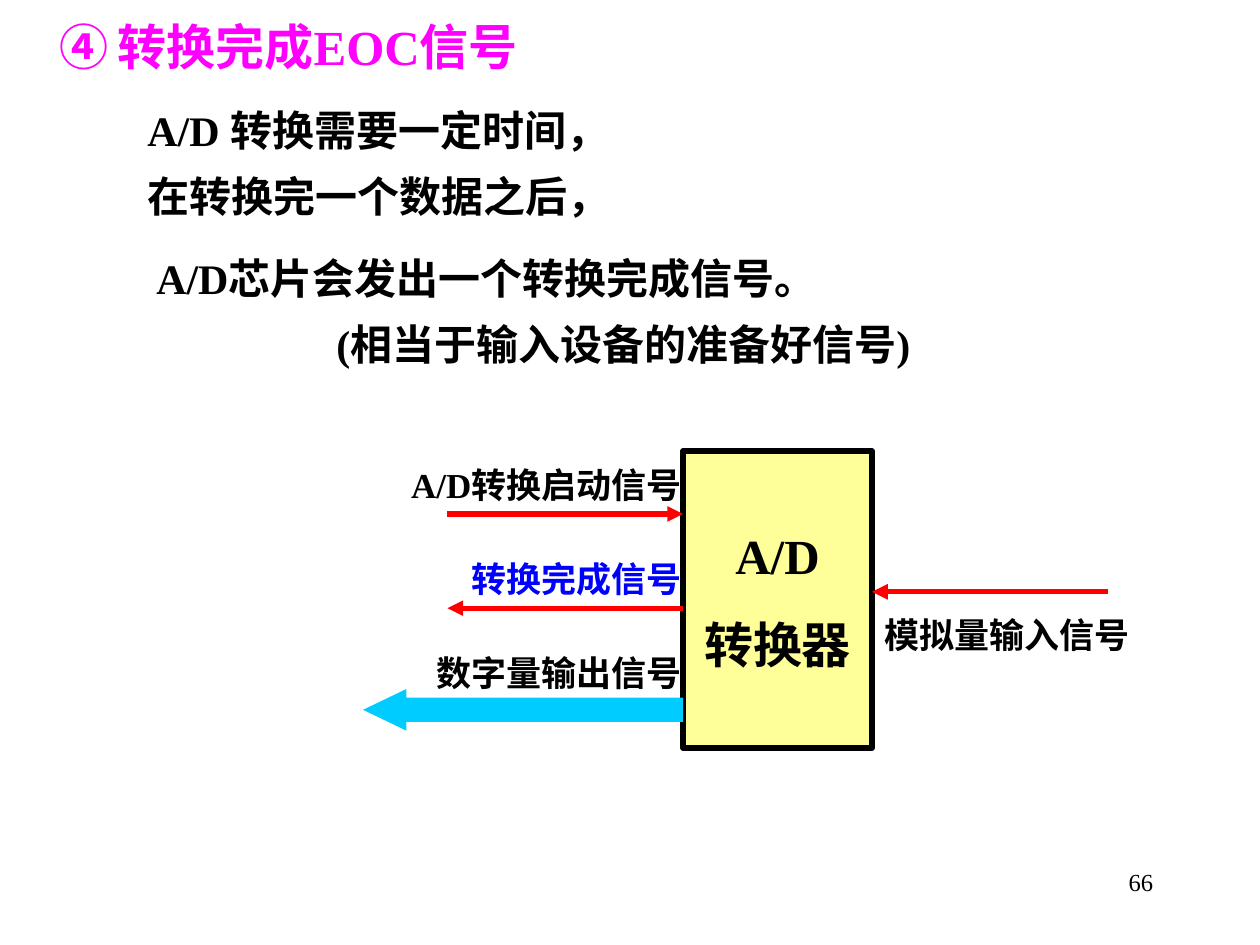
from pptx import Presentation
from pptx.dml.color import RGBColor
from pptx.enum.shapes import MSO_CONNECTOR, MSO_SHAPE
from pptx.enum.text import MSO_ANCHOR, MSO_AUTO_SIZE, PP_ALIGN
from pptx.oxml.ns import qn
from pptx.util import Cm, Pt
from lxml.etree import SubElement

COLORS = {
    "title": "FF00FF", "text": "000000", "eoc": "0000FF", "arrow": "FF0000",
    "converter": "FFFF99", "data": "00CCFF",
}
LATIN, CJK = "Times New Roman", "Noto Sans CJK SC"


def color(name):
    return RGBColor.from_string(COLORS[name])


def add_run(paragraph, text, size, ink="text", bold=True):
    run = paragraph.add_run()
    run.text = text
    run.font.size = Pt(size)
    run.font.bold = bold
    run.font.name = LATIN
    run.font.color.rgb = color(ink)
    SubElement(run._r.get_or_add_rPr(), qn("a:ea"), typeface=CJK)


def set_frame(frame, inset=0, wrap=True, anchor=MSO_ANCHOR.TOP):
    frame.auto_size = MSO_AUTO_SIZE.NONE
    frame.word_wrap = wrap
    frame.vertical_anchor = anchor
    frame.margin_left = frame.margin_right = Cm(inset)
    frame.margin_top = frame.margin_bottom = Cm(inset / 2)


def place(shape, left, top, width, height):
    shape.left, shape.top = Cm(left), Cm(top)
    shape.width, shape.height = Cm(width), Cm(height)


def add_label(slide, text, box, size=20, ink="text", align=PP_ALIGN.LEFT,
              inset=0, bold=True, wrap=False):
    label = slide.shapes.add_textbox(*map(Cm, box))
    set_frame(label.text_frame, inset, wrap)
    paragraph = label.text_frame.paragraphs[0]
    paragraph.alignment = align
    add_run(paragraph, text, size, ink, bold)


def add_signal(slide, start_x, end_x, y):
    signal = slide.shapes.add_connector(
        MSO_CONNECTOR.STRAIGHT, Cm(start_x), Cm(y), Cm(end_x), Cm(y))
    signal.line.color.rgb = color("arrow")
    signal.line.width = Pt(3)
    SubElement(signal.line._get_or_add_ln(), qn("a:tailEnd"), type="triangle")
    SubElement(signal._element.spPr, qn("a:effectLst"))


def fill_title(title, left, top, width, height):
    place(title, left, top, width, height)
    set_frame(title.text_frame, 0.25, wrap=False)
    heading = title.text_frame.paragraphs[0]
    heading.alignment = PP_ALIGN.LEFT
    add_run(heading, "④", 28, "title")
    add_run(heading, " ", 24)
    add_run(heading, "转换完成EOC信号", 28, "title")


def fill_explanation(body, left, top, width, height):
    place(body, left, top, width, height)
    frame = body.text_frame
    set_frame(frame)
    # Text, indent in cm, line spacing
    lines = [
        ("A/D 转换需要一定时间，", 0, 1.0),
        ("在转换完一个数据之后，", 0, 1.0),
        ("A/D芯片会发出一个转换完成信号。", 0.18, 1.3),
        ("(相当于输入设备的准备好信号)", 3.81, 1.0),
    ]
    for number, (text, indent, spacing) in enumerate(lines):
        paragraph = frame.add_paragraph() if number else frame.paragraphs[0]
        properties = paragraph._p.get_or_add_pPr()
        properties.set("marL", str(Cm(indent)))
        properties.set("indent", "0")
        SubElement(properties, qn("a:buNone"))
        paragraph.line_spacing = spacing
        paragraph.space_before = Pt(0)
        paragraph.space_after = Pt(9)
        add_run(paragraph, text, 24)


def add_converter_diagram(slide, left, top):
    chip_left, chip_width, chip_height = left + 6.45, 3.81, 5.99
    chip_right = chip_left + chip_width

    # Converter block
    converter = slide.shapes.add_shape(
        MSO_SHAPE.RECTANGLE, Cm(chip_left), Cm(top), Cm(chip_width), Cm(chip_height))
    converter.shadow.inherit = False
    converter.fill.solid()
    converter.fill.fore_color.rgb = color("converter")
    converter.line.color.rgb = color("text")
    converter.line.width = Pt(3)
    frame = converter.text_frame
    set_frame(frame, anchor=MSO_ANCHOR.MIDDLE)
    for number, text in enumerate(["A/D", "转换器"]):
        paragraph = frame.add_paragraph() if number else frame.paragraphs[0]
        paragraph.alignment = PP_ALIGN.CENTER
        paragraph.space_before = Pt(17.5 * number)
        add_run(paragraph, text, 28)

    # Digital output
    data_bus = slide.shapes.add_shape(
        MSO_SHAPE.LEFT_ARROW, Cm(left), Cm(top + 4.8), Cm(6.45), Cm(0.84))
    data_bus.shadow.inherit = False
    data_bus.adjustments[0], data_bus.adjustments[1] = 0.58, 1.04
    data_bus.fill.solid()
    data_bus.fill.fore_color.rgb = color("data")
    data_bus.line.fill.background()

    # Labels on the left, evenly spaced
    step = 1.9
    labels = [("A/D转换启动信号", "text"), ("转换完成信号", "eoc"), ("数字量输出信号", "text")]
    for row, (text, ink) in enumerate(labels):
        add_label(slide, text, (left, top + 0.25 + row * step, 6.43, 0.85),
                  ink=ink, align=PP_ALIGN.RIGHT)

    # Start signal goes in, completion signal comes out
    outer = left + 1.7
    add_signal(slide, outer, chip_left, top + 1.27)
    add_signal(slide, chip_left, outer, top + 1.27 + step)

    # Analog input
    add_signal(slide, chip_right + 4.75, chip_right, top + 2.84)
    add_label(slide, "模拟量输入信号", (chip_right, top + 3.15, 5.54, 1.12), inset=0.25)


def main():
    presentation = Presentation()
    presentation.slide_width, presentation.slide_height = Cm(25.4), Cm(19.05)
    slide = presentation.slides.add_slide(presentation.slide_layouts[1])
    fill_title(slide.shapes.title, 0.95, 0.2, 10.4, 1.8)
    fill_explanation(slide.placeholders[1], 2.97, 2.11, 16.5, 5.6)
    add_converter_diagram(slide, 7.32, 9.09)
    # Page number
    add_label(slide, "66", (18.2, 17.35, 5.3, 1.27), size=14,
              align=PP_ALIGN.RIGHT, inset=0.25, bold=False, wrap=True)
    presentation.save("out.pptx")


if __name__ == "__main__":
    main()
